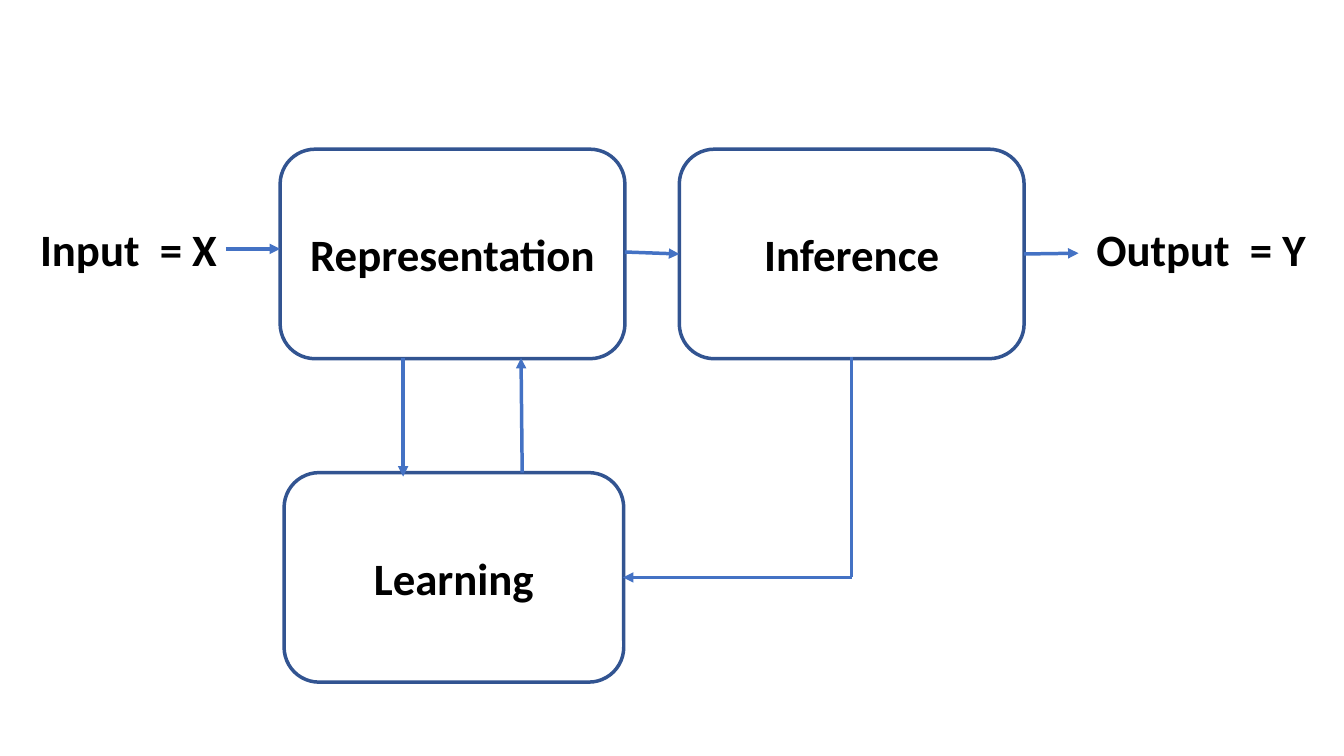
from dataclasses import dataclass

from pptx import Presentation
from pptx.dml.color import RGBColor
from pptx.enum.shapes import MSO_CONNECTOR, MSO_SHAPE
from pptx.enum.text import MSO_ANCHOR, MSO_AUTO_SIZE, PP_ALIGN
from pptx.oxml.ns import qn
from pptx.util import Cm, Pt
from lxml.etree import SubElement


@dataclass(frozen=True)
class Theme:
    font: str = "Calibri"
    text_size: Pt = Pt(32)
    line_width: Pt = Pt(2.5)
    text: RGBColor = RGBColor(0x00, 0x00, 0x00)
    border: RGBColor = RGBColor(0x32, 0x54, 0x91)
    arrow: RGBColor = RGBColor(0x44, 0x72, 0xC4)


theme = Theme()


def write_label(shape, text):
    shape.text_frame.text = text
    para = shape.text_frame.paragraphs[0]
    font = para.runs[0].font
    font.name = theme.font
    font.size = theme.text_size
    font.bold = True
    font.color.rgb = theme.text
    return para


deck = Presentation()
deck.slide_width, deck.slide_height = Cm(33.87), Cm(19.05)
page = deck.slides.add_slide(deck.slide_layouts[6])

# Input and output labels
for text, left, width in [("Input  = X", 0.76, 5.18), ("Output  = Y", 27.38, 6.17)]:
    label = page.shapes.add_textbox(Cm(left), Cm(5.46), Cm(width), Cm(1.63))
    write_label(label, text)
    label.text_frame.word_wrap = True
    label.text_frame.auto_size = MSO_AUTO_SIZE.SHAPE_TO_FIT_TEXT

# Stages
stage_height = 5.28
stages = [
    ("Representation", 7.06, 3.76, 8.69),
    ("Inference", 17.12, 3.76, 8.69),
    ("Learning", 7.16, 11.91, 8.56),
]
for text, left, top, width in stages:
    box = page.shapes.add_shape(
        MSO_SHAPE.ROUNDED_RECTANGLE, Cm(left), Cm(top), Cm(width), Cm(stage_height)
    )
    box.shadow.inherit = False
    box.fill.background()
    box.line.color.rgb = theme.border
    box.line.width = theme.line_width
    box.text_frame.word_wrap = True
    box.text_frame.vertical_anchor = MSO_ANCHOR.MIDDLE
    write_label(box, text).alignment = PP_ALIGN.CENTER

# Flow between the stages: start, end, arrowhead at the end
flows = [
    ((5.69, 6.27), (7.06, 6.27), True),
    ((15.75, 6.35), (17.12, 6.4), True),
    ((25.81, 6.4), (27.18, 6.38), True),
    ((10.16, 9.02), (10.16, 12.01), True),
    ((13.16, 11.91), (13.13, 9.02), True),
    ((21.46, 8.99), (21.46, 14.55), False),
    ((21.46, 14.55), (15.7, 14.55), True),
]
for start, end, has_arrowhead in flows:
    flow = page.shapes.add_connector(
        MSO_CONNECTOR.STRAIGHT, *(Cm(value) for value in start + end)
    )
    flow.line.color.rgb = theme.arrow
    flow.line.width = theme.line_width
    if has_arrowhead:
        SubElement(flow.line._get_or_add_ln(), qn("a:tailEnd"), type="triangle")
    SubElement(flow._element.spPr, qn("a:effectLst"))

deck.save("out.pptx")
